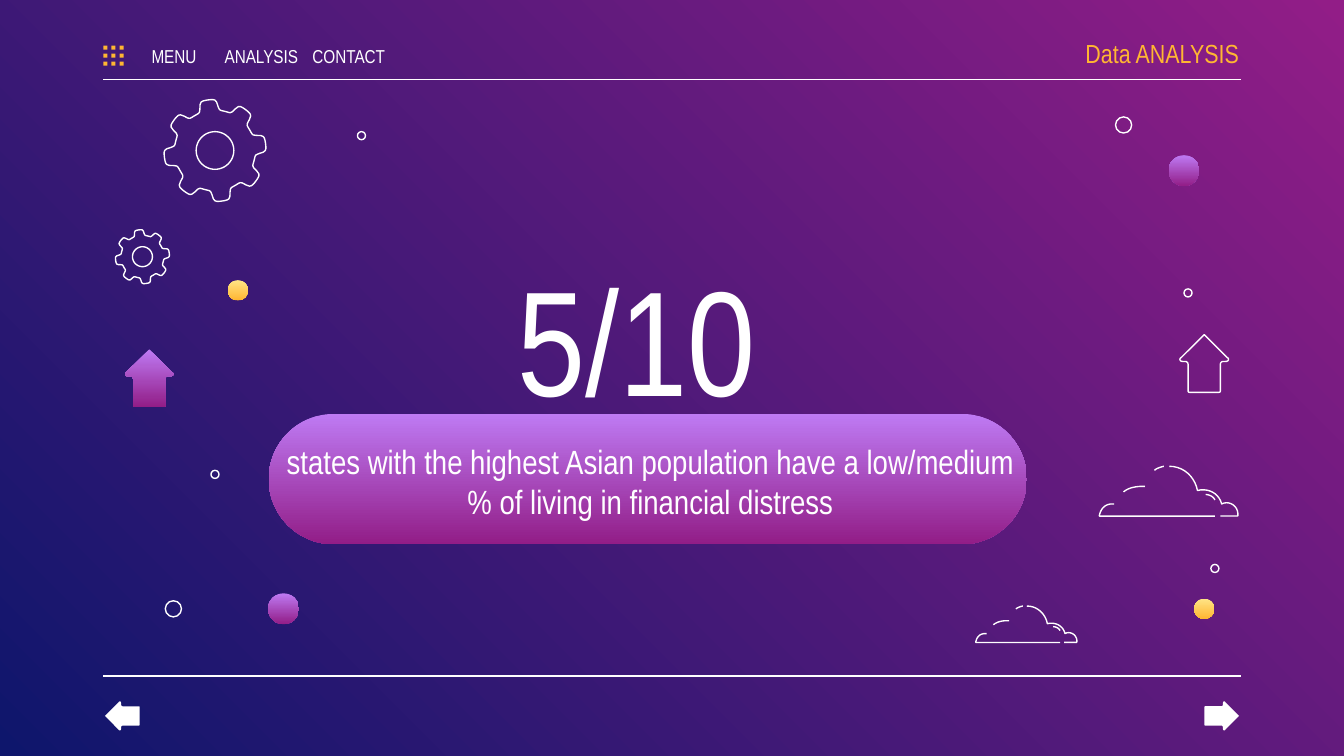
from dataclasses import dataclass
from math import cos, sin, tanh, radians

from lxml.etree import SubElement
from pptx import Presentation
from pptx.dml.color import RGBColor
from pptx.enum.shapes import MSO_CONNECTOR, MSO_SHAPE
from pptx.enum.text import MSO_ANCHOR, MSO_AUTO_SIZE, PP_ALIGN
from pptx.oxml.ns import qn
from pptx.util import Inches, Pt


@dataclass(frozen=True)
class Theme:
    font: str = "Arial Narrow"
    white: str = "FFFFFF"
    gold: str = "FFB632"
    purple: tuple = ("BE7AF3", "921D87")
    yellow: tuple = ("FFE485", "FFB632")
    backdrop: tuple = ("921D87", "0E166C")
    line: float = 0.75
    big: int = 80
    body: int = 18
    header: int = 14
    menu: int = 10


T = Theme()
W = 10
H = W * 9 / 16
LEFT, RIGHT = 0.77, 9.23

# Content
TITLE = "5/10"
STATEMENT = ("states with the highest Asian population have a low/medium "
             "% of living in financial distress")
HEADER = "Data ANALYSIS"
MENU = ["MENU", "ANALYSIS", "CONTACT"]

# Decorations: centre x, centre y, then size or scale
RULES = [0.59, 5.03]
DOTS = [(8.96, 4.53, 0.15, T.yellow), (1.77, 2.16, 0.15, T.yellow),
        (2.11, 4.53, 0.23, T.purple), (8.81, 1.27, 0.23, T.purple)]
RINGS = [(8.36, 0.93, 0.12), (1.29, 4.53, 0.12), (9.04, 4.23, 0.06),
         (2.69, 1.01, 0.06), (8.84, 2.18, 0.06), (1.6, 3.53, 0.06)]
GEARS = [(1.6, 1.12, 1), (1.06, 1.91, 0.53)]
CLOUDS = [(8.18, 3.47, 1), (7.26, 4.51, 0.73)]
ARROWS = [(8.96, 2.71, 1, 0, None), (1.11, 2.82, 1, 0, T.purple),
          (9.09, 5.33, 0.6, 90, T.white), (0.91, 5.33, 0.6, 270, T.white)]

# Strokes: a pair is a straight step, six numbers are a cubic curve
ARROW_HALF = [(0, -0.22), (0.01, -0.21), (0.17, -0.05),
              (0.19, -0.04, 0.18, -0.02, 0.16, -0.02), (0.14, -0.02),
              (0.13, -0.02, 0.12, -0.01, 0.12, 0), (0.12, 0.2),
              (0.12, 0.21, 0.11, 0.21, 0.1, 0.21)]
CLOUD = [
    [(0.52, 0), (0.63, 0, 0.71, 0.08, 0.73, 0.18), (0.81, 0.16, 0.89, 0.2, 0.91, 0.28),
     (0.97, 0.25, 1.04, 0.3, 1.03, 0.37), (0.9, 0.37)],
    [(0.48, 0), (0.48, 0, 0.43, 0.01, 0.41, 0.03)],
    [(0.86, 0.37), (0, 0.37), (0, 0.37, 0.01, 0.27, 0.11, 0.28)],
    [(0.79, 0.21), (0.79, 0.21, 0.84, 0.21, 0.86, 0.25)],
    [(0.34, 0.15), (0.34, 0.15, 0.24, 0.14, 0.18, 0.19)],
]


def trace(steps, n=10):
    """Turn straight and curved steps into a list of points."""
    pts = [steps[0]]
    for step in steps[1:]:
        if len(step) == 2:
            pts.append(step)
            continue
        ctrl = [pts[-1], step[:2], step[2:4], step[4:]]
        for t in (i / n for i in range(1, n + 1)):
            k = ((1 - t) ** 3, 3 * t * (1 - t) ** 2, 3 * t * t * (1 - t), t ** 3)
            pts.append(tuple(sum(a * c[d] for a, c in zip(k, ctrl)) for d in (0, 1)))
    return pts


def gear_outline():
    """Eight rounded teeth."""
    pts = []
    for deg in range(0, 360, 2):
        a = radians(deg)
        r = 0.34 + 0.04 * tanh(3 * cos(8 * (a + radians(8))))
        pts.append((r * cos(a), r * sin(a)))
    return pts


def circle(r):
    return [(r * cos(radians(d)), r * sin(radians(d))) for d in range(0, 360, 6)]


def gradient(fill, colours, angle=270):
    fill.gradient()
    fill.gradient_angle = angle
    for stop, colour in zip(fill.gradient_stops, colours):
        stop.color.rgb = RGBColor.from_string(colour)


def paint(sp, fill=None):
    """Gradient for a pair, solid for one colour, white outline for none."""
    sp.shadow.inherit = False
    if fill is None:
        sp.fill.background()
        sp.line.color.rgb = RGBColor.from_string(T.white)
        sp.line.width = Pt(T.line)
        return
    sp.line.fill.background()
    if isinstance(fill, tuple):
        gradient(sp.fill, fill)
    else:
        sp.fill.solid()
        sp.fill.fore_color.rgb = RGBColor.from_string(fill)


def shape(shapes, kind, x, y, w, h, fill=None):
    sp = shapes.add_shape(kind, Inches(x), Inches(y), Inches(w), Inches(h))
    paint(sp, fill)
    return sp


def outline(shapes, contours, x, y, scale, fill=None, close=True):
    placed = [[(Inches(x + px * scale), Inches(y + py * scale)) for px, py in c]
              for c in contours]
    builder = shapes.build_freeform(*placed[0][0], scale=1.0)
    for i, pts in enumerate(placed):
        if i:
            builder.move_to(*pts[0])
        builder.add_line_segments(pts[1:], close=close)
    sp = builder.convert_to_shape()
    paint(sp, fill)
    return sp


def write(sp, text, box, size, align=PP_ALIGN.CENTER, colour=T.white, sides=(0.1, 0.1)):
    sp.left, sp.top, sp.width, sp.height = map(Inches, box)
    tf = sp.text_frame
    tf.text = text
    tf.word_wrap = True
    tf.auto_size = MSO_AUTO_SIZE.NONE
    tf.vertical_anchor = MSO_ANCHOR.MIDDLE
    tf.margin_left, tf.margin_right = map(Inches, sides)
    tf.margin_top = tf.margin_bottom = Inches(0.1)
    p = tf.paragraphs[0]
    p.alignment = align
    font = p.runs[0].font
    font.name, font.size = T.font, Pt(size)
    font.color.rgb = RGBColor.from_string(colour)


def main():
    prs = Presentation()
    prs.slide_width, prs.slide_height = Inches(W), Inches(H)
    s = prs.slides.add_slide(prs.slide_layouts[5])
    shapes = s.shapes
    gradient(s.background.fill, T.backdrop, 225)

    # Rules above and below the content
    for y in RULES:
        rule = shapes.add_connector(MSO_CONNECTOR.STRAIGHT, Inches(LEFT), Inches(y),
                                    Inches(RIGHT), Inches(y))
        rule.line.color.rgb = RGBColor.from_string(T.white)
        rule.line.width = Pt(T.line)
        SubElement(rule._element.spPr, qn("a:effectLst"))

    # Key figure and statement
    pill = shape(shapes, MSO_SHAPE.ROUNDED_RECTANGLE, 2, 3.08, 5.64, 0.97, T.purple)
    pill.adjustments[0] = 0.5
    write(shapes.title, TITLE, (3.48, 2.2, 2.51, 0.61), T.big)
    write(shapes.add_textbox(0, 0, 0, 0), STATEMENT, (2.02, 3.28, 5.64, 0.6), T.body)

    # Header and menu
    write(shapes.add_textbox(0, 0, 0, 0), HEADER, (7.72, 0.23, 1.5, 0.33), T.header,
          PP_ALIGN.RIGHT, T.gold, (0.1, 0))
    for i, label in enumerate(MENU):
        write(shapes.add_textbox(0, 0, 0, 0), label, (1.01 + 0.65 * i, 0.3, 0.57, 0.23),
              T.menu, sides=(0, 0))
    grid = shapes.add_group_shape().shapes
    for i in range(9):
        shape(grid, MSO_SHAPE.RECTANGLE, LEFT + i // 3 * 0.06, 0.34 + i % 3 * 0.06,
              0.03, 0.03, T.gold)

    # Dots and rings
    for x, y, d, *fill in DOTS + RINGS:
        shape(shapes, MSO_SHAPE.OVAL, x - d / 2, y - d / 2, d, d, *fill)

    # Gears, clouds and arrows
    for x, y, scale in GEARS:
        outline(shapes, [gear_outline(), circle(0.14)], x, y, scale)
    for x, y, scale in CLOUDS:
        cloud = shapes.add_group_shape().shapes
        for stroke in CLOUD:
            outline(cloud, [trace(stroke)], x, y, scale, close=False)
    half = trace(ARROW_HALF)
    arrow = half + [(-x, y) for x, y in reversed(half)]
    for x, y, scale, turn, fill in ARROWS:
        outline(shapes, [arrow], x, y, scale, fill).rotation = turn

    prs.save("out.pptx")


if __name__ == "__main__":
    main()
